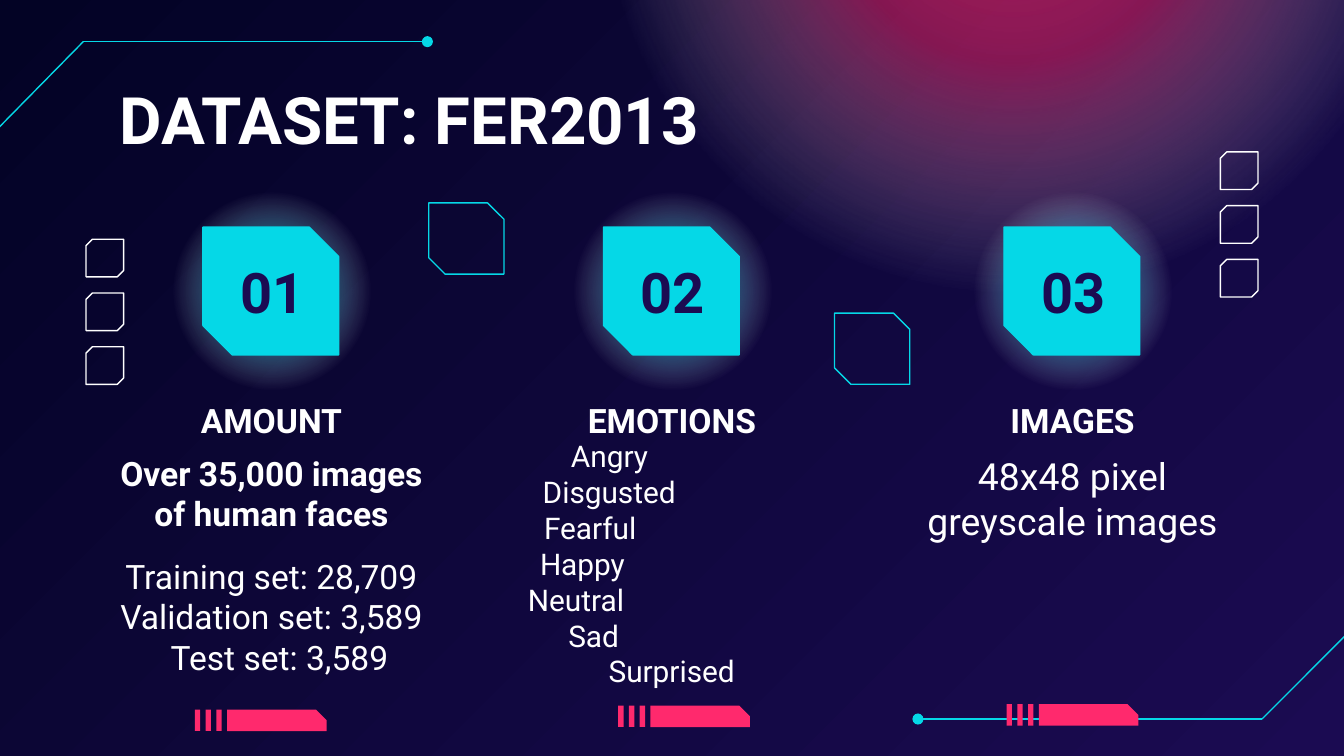
"""Build the FER2013 dataset slide."""
import dataclasses

import lxml.etree
import pptx
import pptx.dml.color
import pptx.enum.shapes
import pptx.enum.text
import pptx.oxml
import pptx.oxml.ns
import pptx.util

Inches = pptx.util.Inches
Kind = pptx.enum.shapes.MSO_SHAPE
Align = pptx.enum.text.PP_ALIGN
Anchor = pptx.enum.text.MSO_ANCHOR


@dataclasses.dataclass(frozen=True)
class Theme:
    """Hold the colours, type sizes and line width of the slide."""
    night: str = "030325"
    indigo: str = "1B0B52"
    cyan: str = "05D8E7"
    pink: str = "FF296D"
    white: str = "FFFFFF"
    font: str = "Roboto"
    title: int = 35
    number: int = 30
    large: int = 20
    body: int = 18
    small: int = 16
    stroke: float = 0.75


THEME = Theme()
COLUMN_STEP = 2.98


def rgb(code):
    """Return the colour for a hex code."""
    return pptx.dml.color.RGBColor.from_string(code)


def apply_format(target, values):
    """Set each named format value on the target."""
    for name, value in values.items():
        setattr(target, name, value)


def paint_background(slide):
    """Fill the background with a diagonal gradient."""
    fill = slide.background.fill
    fill.gradient()
    fill.gradient_angle = 315
    for stop, position, code in zip(fill.gradient_stops, (0, 1), (THEME.night, THEME.indigo)):
        stop.position = position
        stop.color.rgb = rgb(code)


def add_figure(slide, kind, box, fill=None, line=None, snips=(), rotation=0):
    """Add a preset shape with a flat fill and outline."""
    figure = slide.shapes.add_shape(kind, *map(Inches, box))
    figure.shadow.inherit = False
    figure.rotation = rotation
    for index, snip in enumerate(snips):
        figure.adjustments[index] = snip
    if fill:
        figure.fill.solid()
        figure.fill.fore_color.rgb = rgb(fill)
    else:
        figure.fill.background()
    if line:
        figure.line.color.rgb = rgb(line)
        figure.line.width = pptx.util.Pt(THEME.stroke)
    else:
        figure.line.fill.background()
    return figure


def add_glow(slide, left, top, size, code, core, halo):
    """Add a circle that fades outward to transparent."""
    glow = add_figure(slide, Kind.OVAL, (left, top, size, size))
    stops = "".join(
        f'<a:gs pos="{place * 1000}"><a:srgbClr val="{tint}">'
        f'<a:alpha val="{alpha * 1000}"/></a:srgbClr></a:gs>'
        for place, tint, alpha in ((0, code, core), (30, code, halo),
                                   (69, THEME.white, 0), (100, THEME.white, 0)))
    gradient = pptx.oxml.parse_xml(
        f'<a:gradFill {pptx.oxml.ns.nsdecls("a")} rotWithShape="1"><a:gsLst>{stops}</a:gsLst>'
        '<a:path path="circle"><a:fillToRect l="50000" t="50000" r="50000" b="50000"/>'
        '</a:path></a:gradFill>')
    properties = glow.element.spPr
    properties.replace(properties.find(pptx.oxml.ns.qn("a:noFill")), gradient)


def add_circuit(slide, *points):
    """Join the points with lines and end on a dot."""
    for start, end in zip(points, points[1:]):
        trace = slide.shapes.add_connector(
            pptx.enum.shapes.MSO_CONNECTOR.STRAIGHT, *map(Inches, start + end))
        trace.line.color.rgb = rgb(THEME.cyan)
        trace.line.width = pptx.util.Pt(THEME.stroke)
        lxml.etree.SubElement(trace.element.spPr, pptx.oxml.ns.qn("a:effectLst"))
    outline = trace.element.spPr.find(pptx.oxml.ns.qn("a:ln"))
    lxml.etree.SubElement(outline, pptx.oxml.ns.qn("a:tailEnd")).set("type", "oval")


def add_text(slide, box, lines, size, color=THEME.white, align=Align.CENTER, anchor=Anchor.TOP):
    """Add a text box from lines of wording, boldness, indent and space after."""
    frame = slide.shapes.add_textbox(*map(Inches, box)).text_frame
    margins = dict.fromkeys(
        ("margin_left", "margin_top", "margin_right", "margin_bottom"), Inches(0.1))
    apply_format(frame, {"word_wrap": True, "vertical_anchor": anchor, **margins})
    for index, (wording, bold, indent, after) in enumerate(lines):
        paragraph = frame.paragraphs[0] if index == 0 else frame.add_paragraph()
        paragraph.text = wording
        paragraph._p.get_or_add_pPr().set("marL", str(Inches(indent)))
        apply_format(paragraph, {"alignment": align, "space_after": pptx.util.Pt(after)})
        apply_format(paragraph.font, {"name": THEME.font, "size": pptx.util.Pt(size), "bold": bold})
        paragraph.font.color.rgb = rgb(color)


def add_badge(slide, column):
    """Add the glowing numbered badge of a column."""
    shift = column * COLUMN_STEP
    add_glow(slide, 1.27 + shift, 1.41, 1.51, THEME.cyan, 71, 48)
    add_figure(slide, Kind.SNIP_2_DIAG_RECTANGLE, (1.51 + shift, 1.69, 1.01, 0.95),
               THEME.cyan, THEME.cyan, (0, 0.23))
    add_text(slide, (1.6 + shift, 1.9, 0.85, 0.53), [(f"{column + 1:02}", True, 0, 0)],
             THEME.number, THEME.indigo, anchor=Anchor.MIDDLE)


def add_heading(slide, column, wording):
    """Add the heading of a column."""
    add_text(slide, (0.78 + column * COLUMN_STEP, 2.93, 2.48, 0.39),
             [(wording, True, 0, 12)], THEME.body, anchor=Anchor.MIDDLE)


def add_bar(slide, left, top):
    """Add a pink bar led by three ticks."""
    for tick in range(3):
        add_figure(slide, Kind.RECTANGLE, (left + tick * 0.08, top, 0.04, 0.16), THEME.pink)
    add_figure(slide, Kind.SNIP_1_RECTANGLE, (left + 0.24, top, 0.74, 0.16),
               THEME.pink, snips=(0.5,))


def add_stack(slide, left, top):
    """Add three outlined squares in a column."""
    for row in range(3):
        add_figure(slide, Kind.SNIP_2_DIAG_RECTANGLE, (left, top + row * 0.4, 0.28, 0.28),
                   line=THEME.white, snips=(0, 0.17), rotation=90)


def main():
    """Build and save the slide."""
    deck = pptx.Presentation()
    apply_format(deck, {"slide_width": Inches(10), "slide_height": Inches(10) * 9 // 16})
    slide = deck.slides.add_slide(deck.slide_layouts[6])
    paint_background(slide)
    add_glow(slide, 4.41, -3.99, 6.25, THEME.pink, 67, 49)
    add_circuit(slide, (-0.01, 0.95), (0.62, 0.31), (3.18, 0.31))
    add_circuit(slide, (10.02, 4.72), (9.39, 5.35), (6.83, 5.35))

    add_text(slide, (0.79, 0.49, 7.85, 0.67), [("DATASET: FER2013", True, 0, 0)],
             THEME.title, align=Align.LEFT)
    for column, heading in enumerate(("AMOUNT", "EMOTIONS", "IMAGES")):
        add_badge(slide, column)
        add_heading(slide, column, heading)

    amounts = [("Over 35,000 images of human faces", True, 0, 12),
               ("Training set: 28,709", False, 0, 0),
               ("Validation set: 3,589", False, 0, 0),
               ("Test set: 3,589", False, 0.12, 0)]
    add_text(slide, (0.78, 3.27, 2.48, 1.96), amounts, THEME.body)
    emotions = {"Angry": 0.39, "Disgusted": 0.18, "Fearful": 0.19, "Happy": 0.16,
                "Neutral": 0.07, "Sad": 0.37, "Surprised": 0.67}
    add_text(slide, (3.76, 3.16, 2.48, 1.96),
             [(emotion, False, indent, 0) for emotion, indent in emotions.items()],
             THEME.small, align=Align.LEFT)
    add_text(slide, (6.74, 3.27, 2.48, 1.01),
             [("48x48 pixel greyscale images", False, 0, 12)], THEME.large)

    for left, top in ((1.45, 5.28), (4.6, 5.25), (7.49, 5.24)):
        add_bar(slide, left, top)
    for left, top in ((3.19, 1.51), (6.21, 2.33)):
        add_figure(slide, Kind.SNIP_2_DIAG_RECTANGLE, (left, top, 0.56, 0.53),
                   line=THEME.cyan, snips=(0, 0.23))
    for left, top in ((9.08, 1.13), (0.64, 1.78)):
        add_stack(slide, left, top)
    deck.save("out.pptx")


if __name__ == "__main__":
    main()
